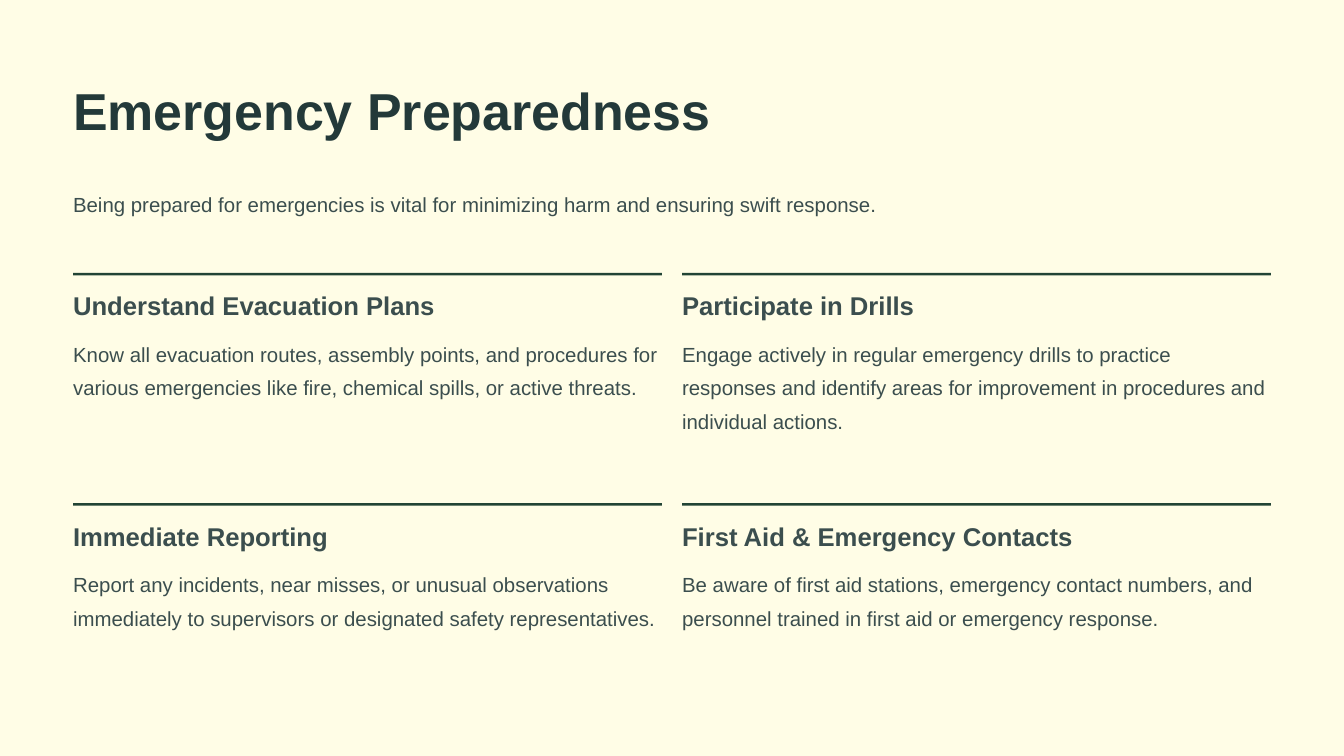
import pptx
import pptx.dml.color
import pptx.enum.shapes
import pptx.util
from pptx.util import Inches

CREAM, DARK_TEAL, SLATE, GREEN = "FFFDE6", "233939", "3B4E4E", "224435"


def set_fill(fill, color):
    fill.solid()
    fill.fore_color.rgb = pptx.dml.color.RGBColor.from_string(color)


def add_text(text, left, top, width, height, size=17.5, spacing=28.5, color=SLATE, bold=False):
    frame = slide.shapes.add_textbox(Inches(left), Inches(top), Inches(width), Inches(height)).text_frame
    frame.word_wrap = True
    frame.margin_left = frame.margin_top = frame.margin_right = frame.margin_bottom = 0
    paragraph = frame.paragraphs[0]
    paragraph.text = text
    paragraph.line_spacing = pptx.util.Pt(spacing)
    paragraph.font.name = "Arial"
    paragraph.font.size = pptx.util.Pt(size)
    paragraph.font.bold = bold
    set_fill(paragraph.font.fill, color)


presentation = pptx.Presentation()
presentation.slide_width = Inches(16)
presentation.slide_height = Inches(9)
slide = presentation.slides.add_slide(presentation.slide_layouts[6])
set_fill(slide.background.fill, CREAM)

# Title and introduction
margin = 0.87
content_width = 16 - 2 * margin
add_text("Emergency Preparedness", margin, 0.91, content_width, 0.78,
         size=44.5, spacing=55.5, color=DARK_TEAL, bold=True)
add_text("Being prepared for emergencies is vital for minimizing harm and ensuring swift response.",
         margin, 2.18, content_width, 0.4)

# Four topics in a two-by-two grid
topics = [
    ("Understand Evacuation Plans",
     "Know all evacuation routes, assembly points, and procedures for various emergencies "
     "like fire, chemical spills, or active threats."),
    ("Participate in Drills",
     "Engage actively in regular emergency drills to practice responses and identify areas "
     "for improvement in procedures and individual actions."),
    ("Immediate Reporting",
     "Report any incidents, near misses, or unusual observations immediately to supervisors "
     "or designated safety representatives."),
    ("First Aid & Emergency Contacts",
     "Be aware of first aid stations, emergency contact numbers, and personnel trained in "
     "first aid or emergency response."),
]
column_width, column_step = 7.01, 7.25
grid_top, row_step = 3.25, 2.74

for index, (heading, advice) in enumerate(topics):
    row, column = divmod(index, 2)
    left = margin + column * column_step
    top = grid_top + row * row_step
    rule = slide.shapes.add_shape(pptx.enum.shapes.MSO_SHAPE.RECTANGLE,
                                  Inches(left), Inches(top), Inches(column_width), Inches(0.03))
    rule.shadow.inherit = False
    set_fill(rule.fill, GREEN)
    rule.line.fill.background()
    add_text(heading, left, top + 0.19, column_width, 0.39, size=22, spacing=27.5, bold=True)
    add_text(advice, left, top + 0.72, column_width, 1.19)

presentation.save("out.pptx")
